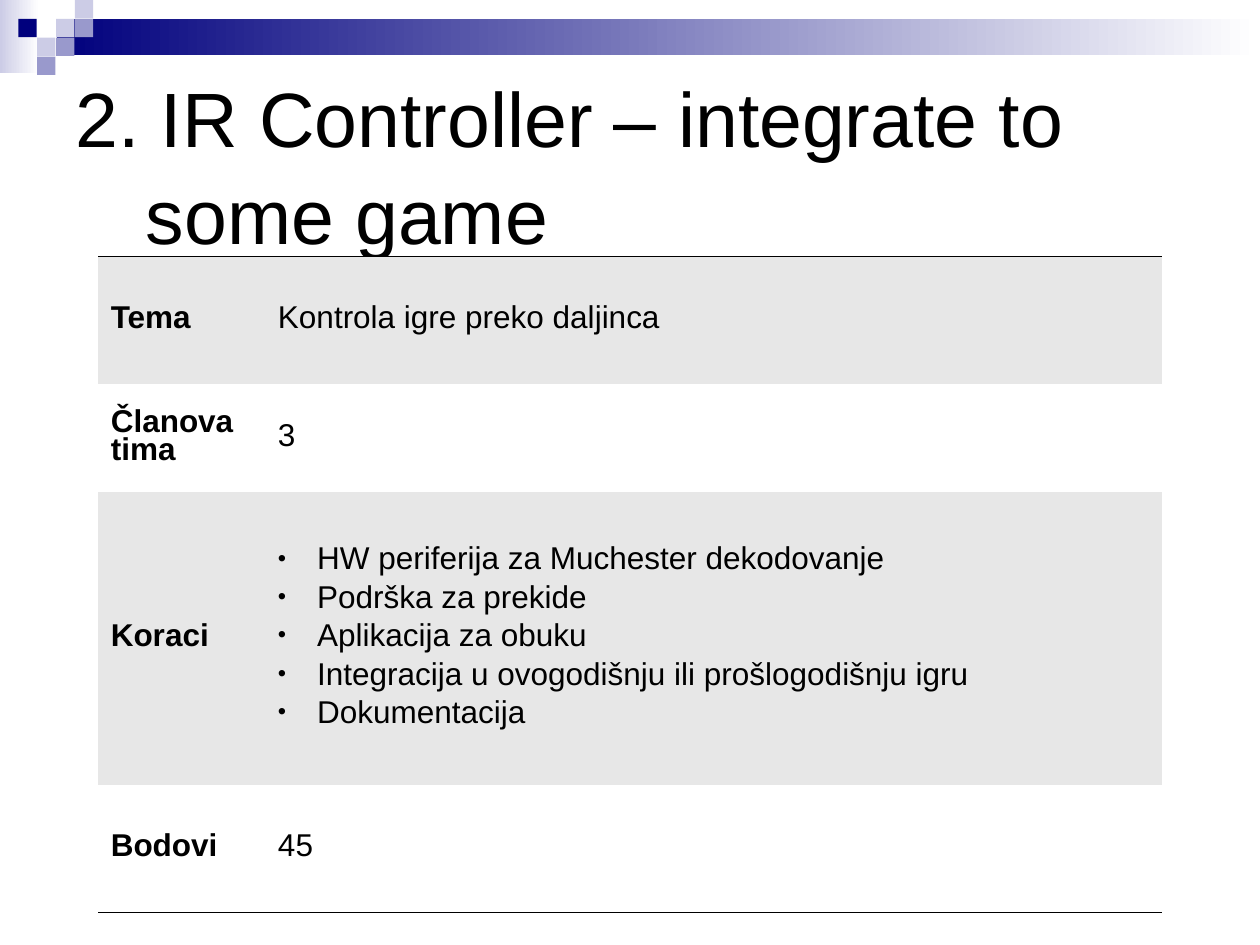
import pptx
import pptx.dml.color
import pptx.enum.shapes
import pptx.enum.text
import pptx.oxml
import pptx.oxml.ns
import pptx.util
from dataclasses import dataclass

Cm = pptx.util.Cm
Pt = pptx.util.Pt
MIDDLE = pptx.enum.text.MSO_ANCHOR.MIDDLE


@dataclass
class Theme:
    font: str = "Arial"
    ink: str = "000000"
    navy: str = "00007D"
    mid: str = "9999CC"
    pale: str = "CCCCE6"
    white: str = "FFFFFF"
    band: str = "E7E7E7"
    title: int = 44
    body: int = 18
    plain: str = "{2D5ABB26-0587-4C30-8999-92F81FD0307C}"


def color(code):
    return pptx.dml.color.RGBColor.from_string(code)


def make(xml):
    return pptx.oxml.parse_xml(xml.replace(">", f" {pptx.oxml.ns.nsdecls('a')}>", 1))


class Deck:
    def __init__(self, theme):
        self.theme = theme
        self.file = pptx.Presentation()
        self.file.slide_width = Cm(25.4)
        self.file.slide_height = Cm(19.05)
        self.slide = self.file.slides.add_slide(self.file.slide_layouts[6])

    def style(self, para, text, size, bold=False):
        para.text = text
        para.font.name = self.theme.font
        para.font.size = Pt(size)
        para.font.bold = bold
        para.font.color.rgb = color(self.theme.ink)

    def hang(self, para, width):
        props = para._p.get_or_add_pPr()
        props.set("marL", str(Cm(width)))
        props.set("indent", str(-Cm(width)))
        return props

    def block(self, left, top, width, height, *fills):
        rect = pptx.enum.shapes.MSO_SHAPE.RECTANGLE
        shape = self.slide.shapes.add_shape(
            rect, Cm(left), Cm(top), Cm(width), Cm(height))
        shape.shadow.inherit = False
        shape.line.fill.background()
        if len(fills) == 1:
            shape.fill.solid()
            shape.fill.fore_color.rgb = color(fills[0])
        else:
            shape.fill.gradient()
            shape.fill.gradient_angle = 0
            for stop, code in zip(shape.fill.gradient_stops, fills):
                stop.color.rgb = color(code)

    def title(self, text, left, top, width, height):
        frame = self.slide.shapes.add_textbox(
            Cm(left), Cm(top), Cm(width), Cm(height)).text_frame
        frame.word_wrap = True
        frame.vertical_anchor = MIDDLE
        para = frame.paragraphs[0]
        self.style(para, text, self.theme.title)
        para.line_spacing = 1.05
        self.hang(para, 1.42)

    def bullet(self, para):
        props = self.hang(para, 0.79)
        for xml in (f'<a:buClr><a:srgbClr val="{self.theme.ink}"/></a:buClr>',
                    '<a:buSzPct val="75000"></a:buSzPct>',
                    '<a:buFont typeface="Arial"></a:buFont>',
                    '<a:buChar char="•"></a:buChar>'):
            props.append(make(xml))

    def edge(self, cell, side):
        line = make(f'<a:{side} w="762"><a:solidFill>'
                    f'<a:srgbClr val="{self.theme.ink}"/></a:solidFill></a:{side}>')
        cell._tc.get_or_add_tcPr().insert(0, line)

    def cell(self, cell, text, bold, fill):
        cell.fill.solid()
        cell.fill.fore_color.rgb = color(fill)
        cell.vertical_anchor = MIDDLE
        items = [text] if isinstance(text, str) else text
        frame = cell.text_frame
        for spot, item in enumerate(items):
            para = frame.add_paragraph() if spot else frame.paragraphs[0]
            self.style(para, item, self.theme.body, bold)
            para.line_spacing = 0.79
            if items is text:
                para.space_after = Pt(6 if spot < len(items) - 1 else 0)
                self.bullet(para)

    def table(self, rows, left, top, widths, heights):
        table = self.slide.shapes.add_table(
            len(rows), len(widths), Cm(left), Cm(top),
            Cm(sum(widths)), Cm(sum(heights))).table
        props = table._tbl.tblPr
        props.find(pptx.oxml.ns.qn("a:tableStyleId")).text = self.theme.plain
        table.first_row = False
        table.horz_banding = False
        for col, width in zip(table.columns, widths):
            col.width = Cm(width)
        for r, (row, height) in enumerate(zip(rows, heights)):
            table.rows[r].height = Cm(height)
            fill = self.theme.white if r % 2 else self.theme.band
            for c, text in enumerate(row):
                cell = table.cell(r, c)
                self.cell(cell, text, c == 0, fill)
                if r == 0:
                    self.edge(cell, "lnT")
                if r == len(rows) - 1:
                    self.edge(cell, "lnB")


def main():
    theme = Theme()
    deck = Deck(theme)

    deck.block(0, 0, 0.79, 1.47, theme.pale, theme.white)
    deck.block(1.14, 0.38, 24.23, 0.74, theme.navy, theme.white)
    step = 0.38
    squares = [(2, 1, theme.pale), (3, 0, theme.pale), (3, 1, theme.mid),
               (1, 2, theme.pale), (0, 1, theme.navy), (2, 2, theme.mid),
               (1, 3, theme.mid)]
    for col, row, fill in squares:
        deck.block(0.37 + col * step, row * step, 0.37, 0.37, fill)

    deck.title("2. IR Controller – integrate to some game", 1.27, 1.37, 22.86, 3.81)

    steps = ["HW periferija za Muchester dekodovanje",
             "Podrška za prekide",
             "Aplikacija za obuku",
             "Integracija u ovogodišnju ili prošlogodišnju igru",
             "Dokumentacija"]
    rows = [("Tema", "Kontrola igre preko daljinca"),
            ("Članova tima", "3"),
            ("Koraci", steps),
            ("Bodovi", "45")]
    deck.table(rows, 1.98, 5.16, [3.37, 18.08], [2.58, 2.18, 5.9, 2.57])

    deck.file.save("out.pptx")


if __name__ == "__main__":
    main()
